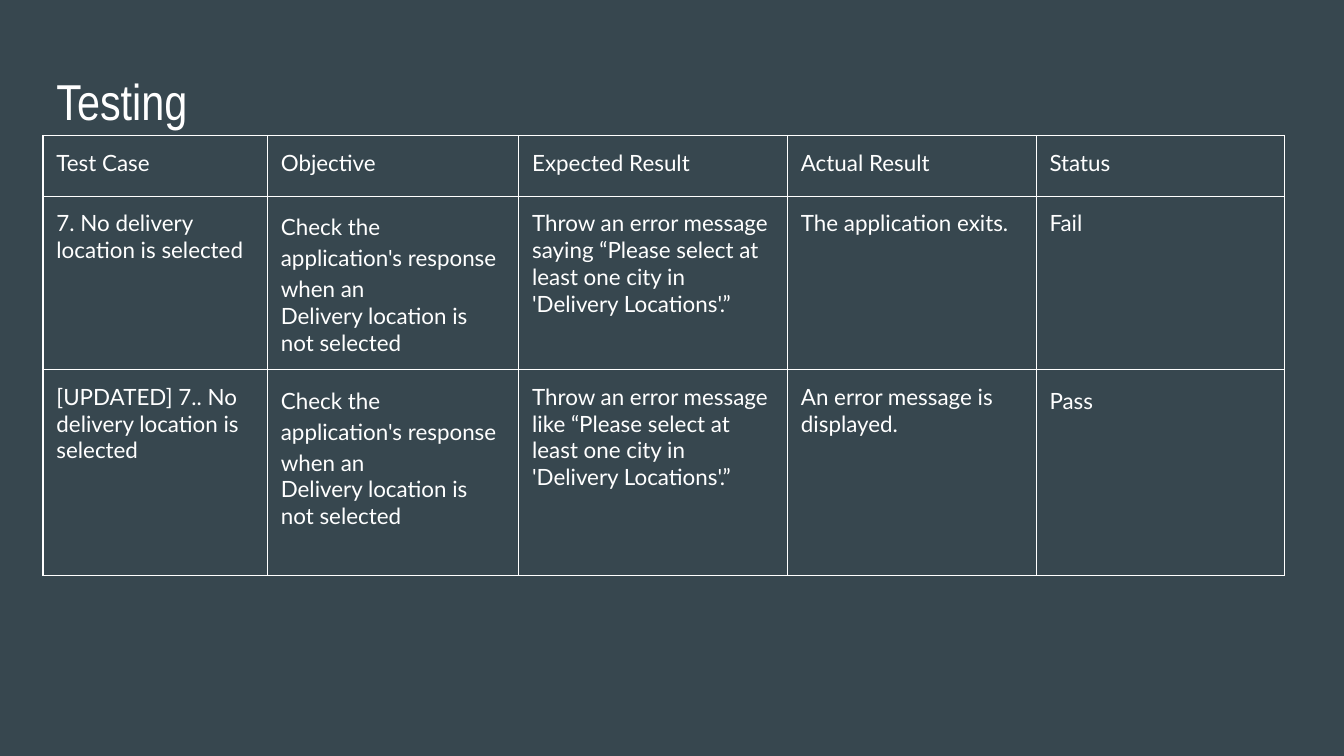
"""Build the Testing slide: a title above a table of test cases."""
from lxml.etree import SubElement
from pptx import Presentation
from pptx.dml.color import RGBColor
from pptx.enum.text import MSO_ANCHOR, PP_ALIGN
from pptx.oxml.ns import qn
from pptx.util import Inches, Pt

WHITE, SLATE = "FFFFFF", "37474F"
LEFT, INSET = 0.32, Inches(0.1)
COLUMNS = [1.67, 1.87, 2, 1.85, 1.85]
ROWS = [0.45, 1.03, 1.53]
OBJECTIVE = "Check the application's response when an\nDelivery location is not selected"
REQUEST = "“Please select at least one city in 'Delivery Locations'.”"
TESTS = [
    ["Test Case", "Objective", "Expected Result", "Actual Result", "Status"],
    ["7. No delivery location is selected", OBJECTIVE,
     f"Throw an error message saying {REQUEST}", "The application exits.", "Fail"],
    ["[UPDATED] 7.. No delivery location is selected", OBJECTIVE,
     f"Throw an error message like {REQUEST}", "An error message is displayed.", "Pass"],
]
LOOSE = {(1, 1), (2, 1), (2, 4)}


def style(paragraph, face, size, color):
    paragraph.alignment = PP_ALIGN.LEFT
    for run in paragraph.runs:
        run.font.name, run.font.size, run.font.bold = face, Pt(size), False
        run.font.color.rgb = RGBColor.from_string(color)


def add_borders(cell, color, width):
    properties = cell._tc.get_or_add_tcPr()
    for side in ("a:lnL", "a:lnR", "a:lnT", "a:lnB"):
        line = SubElement(properties, qn(side), w=str(Pt(width)))
        paint = SubElement(line, qn("a:solidFill"))
        SubElement(paint, qn("a:srgbClr"), val=color)


prs = Presentation()
prs.slide_width = Inches(10)
prs.slide_height = prs.slide_width * 9 // 16
slide = prs.slides.add_slide(prs.slide_layouts[5])
slide.background.fill.solid()
slide.background.fill.fore_color.rgb = RGBColor.from_string(SLATE)

heading = slide.shapes.title
heading.left, heading.top = Inches(LEFT), Inches(0.42)
heading.width, heading.height = Inches(9.32), Inches(0.65)
frame = heading.text_frame
frame.text = "Testing"
frame.margin_left = frame.margin_right = frame.margin_top = frame.margin_bottom = INSET
frame.vertical_anchor = MSO_ANCHOR.BOTTOM
style(frame.paragraphs[0], "Arial Narrow", 27, WHITE)

tests = slide.shapes.add_table(
    len(ROWS), len(COLUMNS), Inches(LEFT), Inches(1.01),
    Inches(sum(COLUMNS)), Inches(sum(ROWS))).table
tests.first_row = tests.horz_banding = False
for column, width in zip(tests.columns, COLUMNS):
    column.width = Inches(width)
for row, height in zip(tests.rows, ROWS):
    row.height = Inches(height)

for r, record in enumerate(TESTS):
    for c, entry in enumerate(record):
        cell = tests.cell(r, c)
        cell.text_frame.text = entry
        cell.margin_left = cell.margin_right = cell.margin_top = cell.margin_bottom = INSET
        add_borders(cell, WHITE, 0.75)
        cell.fill.background()
        for paragraph in cell.text_frame.paragraphs:
            style(paragraph, "Lato", 12, WHITE)
        if (r, c) in LOOSE:
            cell.text_frame.paragraphs[0].line_spacing = 1.15

prs.save("out.pptx")
